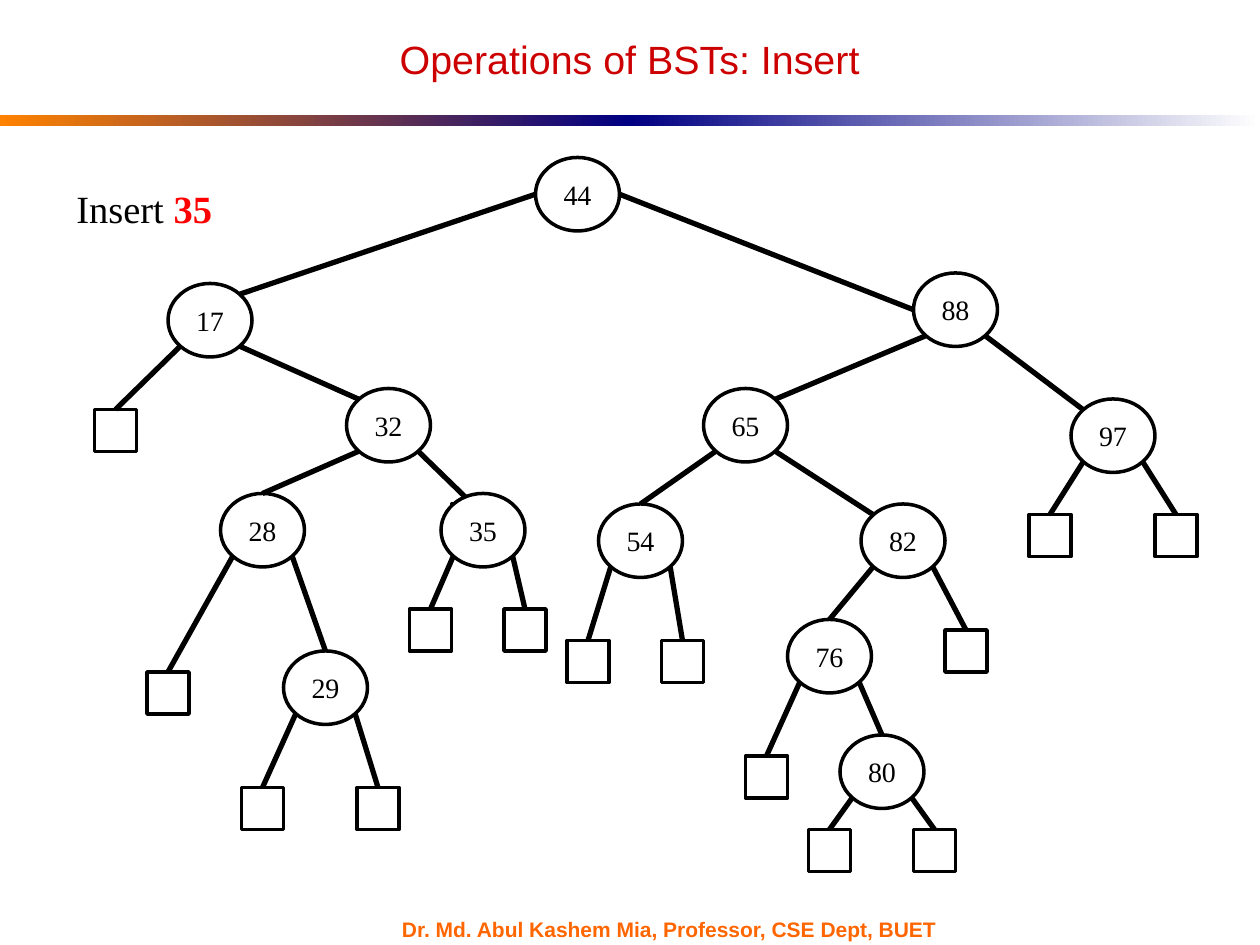
import math

import lxml.etree
import pptx
import pptx.dml.color
import pptx.enum.shapes
import pptx.enum.text
import pptx.oxml.ns
import pptx.util

SCALE = 7620
SLIDE = (1200, 900)
NODE = (80, 70)
LEAF = (40, 40)
SERIF, SANS = "Times New Roman", "Arial"
BLACK, WHITE = "000000", "FFFFFF"

BANDS = [(0, "FF8200", "000082"), (600, "000082", "FFFFFF")]

TREE = {
    "nodes": {
        "44": (510, 150), "17": (160, 270), "32": (330, 370), "28": (210, 470),
        "29": (270, 620), "88": (870, 260), "65": (670, 370), "97": (1020, 380),
        "54": (570, 480), "82": (820, 480), "76": (750, 590), "80": (800, 700),
    },
    "leaves": [
        ("17", "lower left", (90, 390)), ("32", "lower right", (430, 480)),
        ("28", "lower left", (140, 640)),
        ("29", "lower left", (230, 750)), ("29", "lower right", (340, 750)),
        ("54", "lower left", (540, 610)), ("54", "lower right", (630, 610)),
        ("97", "lower left", (980, 490)), ("97", "lower right", (1100, 490)),
        ("76", "lower left", (710, 720)), ("82", "lower right", (900, 600)),
        ("80", "lower left", (770, 790)), ("80", "lower right", (870, 790)),
    ],
    "edges": [
        ("44", "left", "17", "upper right"), ("44", "right", "88", "left"),
        ("17", "lower right", "32", "upper left"), ("32", "lower left", "28", "top"),
        ("28", "lower right", "29", "top"), ("88", "lower left", "65", "upper right"),
        ("88", "lower right", "97", "upper left"), ("65", "lower left", "54", "top"),
        ("65", "lower right", "82", "upper left"), ("82", "lower left", "76", "top"),
        ("76", "lower right", "80", "top"),
    ],
}
INSERTED = {
    "nodes": {"35": (420, 470)},
    "leaves": [("35", "lower left", (390, 580)), ("35", "lower right", (480, 580))],
    "edges": [],
}

ANGLES = {"right": 0, "lower right": 45, "lower left": 135, "left": 180,
          "upper left": 225, "top": 270, "upper right": 315}

SHAPES = pptx.enum.shapes.MSO_SHAPE
ANCHOR = pptx.enum.text.MSO_ANCHOR
ALIGN = pptx.enum.text.PP_ALIGN


def emu(*lengths):
    return [round(length * SCALE) for length in lengths]


def color(value):
    return pptx.dml.color.RGBColor.from_string(value)


def write(box, text, size, font=SERIF, ink=BLACK, bold=False, align=None,
          anchor=ANCHOR.MIDDLE, wrap=True, spacing=None):
    frame = box.text_frame
    frame.word_wrap = wrap
    frame.vertical_anchor = anchor
    paragraph = frame.paragraphs[0]
    paragraph.alignment = align
    paragraph.line_spacing = spacing
    run = paragraph.add_run()
    run.text = text
    run.font.size = pptx.util.Pt(size)
    run.font.name = font
    run.font.bold = bold
    run.font.color.rgb = color(ink)


def add_outlined(slide, kind, place, size):
    outline = slide.shapes.add_shape(kind, *emu(*place, *size))
    outline.shadow.inherit = False
    outline.fill.solid()
    outline.fill.fore_color.rgb = color(WHITE)
    outline.line.color.rgb = color(BLACK)
    outline.line.width = pptx.util.Pt(2)
    return outline


def add_band(slide, left, start, end):
    band = slide.shapes.add_shape(SHAPES.RECTANGLE, *emu(left, 110, 600, 10))
    band.shadow.inherit = False
    band.line.fill.background()
    band.fill.gradient()
    band.fill.gradient_angle = 0
    for stop, value in zip(band.fill.gradient_stops, (start, end)):
        stop.color.rgb = color(value)


def rim(node, side):
    angle = math.radians(ANGLES[side])
    return (round(node.left + node.width / 2 * (1 + math.cos(angle))),
            round(node.top + node.height / 2 * (1 + math.sin(angle))))


def add_edge(slide, parent, side, child, child_side="top"):
    edge = slide.shapes.add_connector(
        pptx.enum.shapes.MSO_CONNECTOR.STRAIGHT, *rim(parent, side), *rim(child, child_side))
    edge.line.color.rgb = color(BLACK)
    edge.line.width = pptx.util.Pt(3)
    lxml.etree.SubElement(edge.element.spPr, pptx.oxml.ns.qn("a:effectLst"))
    if child_side == "top":
        edge.end_connect(child, 0)


def draw_tree(slide, tree):
    nodes = {}
    for key, place in tree["nodes"].items():
        nodes[key] = add_outlined(slide, SHAPES.OVAL, place, NODE)
        write(nodes[key], key, 16, align=ALIGN.CENTER)
    for parent, side, child, child_side in tree["edges"]:
        add_edge(slide, nodes[parent], side, nodes[child], child_side)
    for parent, side, place in tree["leaves"]:
        leaf = add_outlined(slide, SHAPES.RECTANGLE, place, LEAF)
        add_edge(slide, nodes[parent], side, leaf)


def main():
    deck = pptx.Presentation()
    deck.slide_width, deck.slide_height = emu(*SLIDE)
    slide = deck.slides.add_slide(deck.slide_layouts[6])

    for band in BANDS:
        add_band(slide, *band)

    footer = slide.shapes.add_textbox(*emu(371, 874, 560, 22))
    write(footer, "Dr. Md. Abul Kashem Mia, Professor, CSE Dept, BUET", 12,
          font=SANS, ink="FF6600", bold=True, wrap=False)

    task = slide.shapes.add_textbox(*emu(61, 170, 176, 56))
    write(task, "Insert ", 22, anchor=ANCHOR.TOP, wrap=False)
    write(task, "35", 22, ink="FF0000", bold=True, anchor=ANCHOR.TOP, wrap=False)

    draw_tree(slide, TREE)
    draw_tree(slide, INSERTED)

    title = slide.shapes.add_textbox(*emu(60, 30, 1080, 61))
    write(title, "Operations of BSTs: Insert", 22.5, font=SANS, ink="CC0000",
          align=ALIGN.CENTER, spacing=0.8)

    deck.save("out.pptx")


if __name__ == "__main__":
    main()
